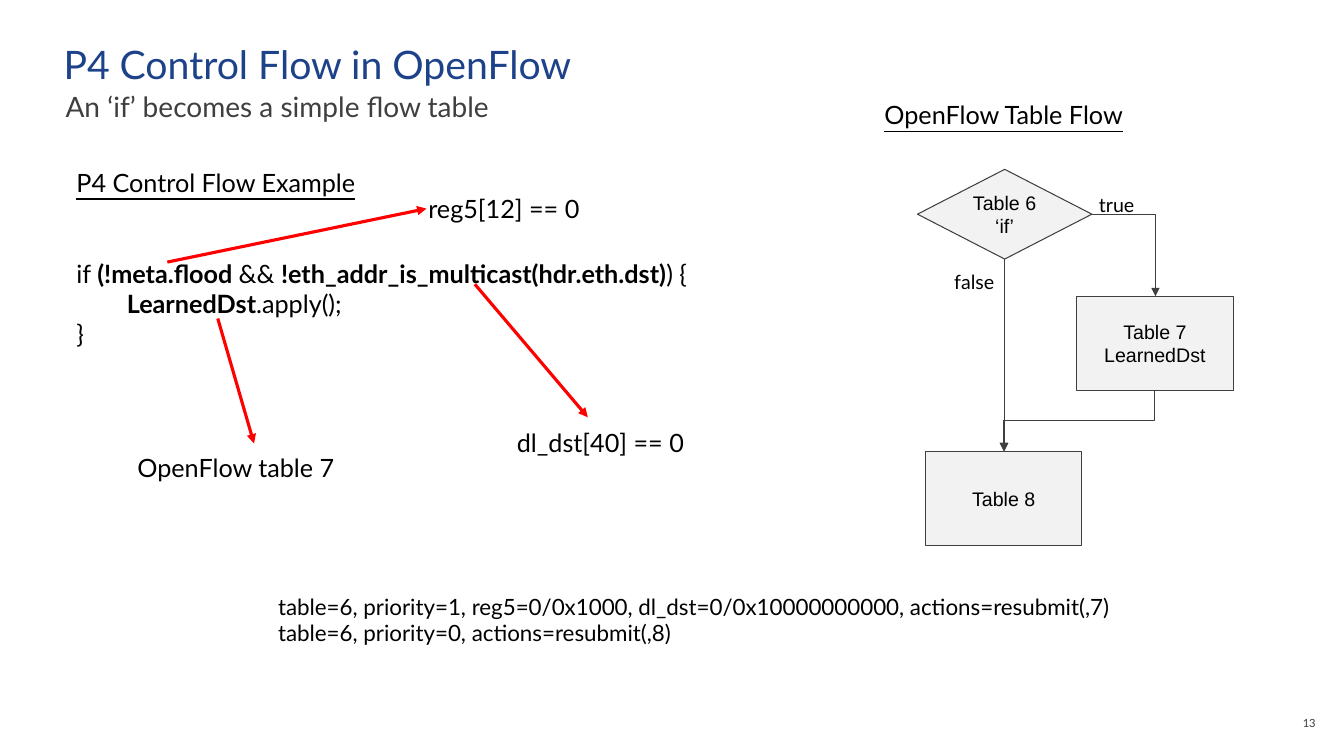
from lxml import etree
from pptx import Presentation
from pptx.dml.color import RGBColor
from pptx.enum.shapes import MSO_CONNECTOR as LINK, MSO_SHAPE as SHAPE
from pptx.enum.text import MSO_ANCHOR as ANCHOR, PP_ALIGN as ALIGN
from pptx.oxml.ns import qn
from pptx.util import Pt

PX = 9144  # EMU per px, 100 px to the inch
COLORS = {
    "title": "1D428A",
    "gray": "3F3F3F",
    "text": "000000",
    "arrow": "FF0000",
    "node": "F2F2F2",
}


def px(*lengths):
    return [length * PX for length in lengths]


def color(name):
    return RGBColor.from_string(COLORS[name])


def set_frame(frame, inset, anchor):
    frame.word_wrap = True
    frame.vertical_anchor = anchor
    frame.margin_left = frame.margin_right = inset * PX
    frame.margin_top = frame.margin_bottom = inset * PX


def set_font(paragraph, size, fill="text", face="Lato", underline=None):
    font = paragraph.font
    font.size = Pt(size)
    font.name = face
    font.color.rgb = color(fill)
    font.underline = underline


def write(frame, lines, size, align=ALIGN.LEFT, **font):
    for number, line in enumerate(lines):
        paragraph = frame.paragraphs[0] if number == 0 else frame.add_paragraph()
        paragraph.text = line
        paragraph.alignment = align
        set_font(paragraph, size, **font)


def add_text(slide, box, lines, size, align=ALIGN.LEFT, inset=10,
             anchor=ANCHOR.TOP, **font):
    frame = slide.shapes.add_textbox(*px(*box)).text_frame
    set_frame(frame, inset, anchor)
    write(frame, lines, size, align, **font)
    return frame


def add_title(slide, box, text):
    title = slide.shapes.title
    title.left, title.top, title.width, title.height = px(*box)
    set_frame(title.text_frame, 0, ANCHOR.BOTTOM)
    write(title.text_frame, [text], 28, fill="title")
    title.text_frame.paragraphs[0].line_spacing = 0.9


def add_code(slide, box, heading, code):
    """Write a heading and code lines given as (first-line indent, [(text, bold)])."""
    frame = add_text(slide, box, [heading], 18, underline=True)
    for number, (indent, pieces) in enumerate(code):
        paragraph = frame.add_paragraph()
        paragraph._p.get_or_add_pPr().set("indent", str(indent * PX))
        if number == 0:
            paragraph.space_before = Pt(43.2)
        set_font(paragraph, 18)
        for text, bold in pieces:
            run = paragraph.add_run()
            run.text = text
            run.font.bold = bold


def add_node(slide, kind, box, lines):
    node = slide.shapes.add_shape(kind, *px(*box))
    node.shadow.inherit = False
    node.fill.solid()
    node.fill.fore_color.rgb = color("node")
    node.line.color.rgb = color("gray")
    node.line.width = Pt(0.75)
    set_frame(node.text_frame, 10, ANCHOR.MIDDLE)
    write(node.text_frame, lines, 14, ALIGN.CENTER, face="Arial")


def add_arrow(slide, start, end, stroke="gray", width=0.75, kind=LINK.STRAIGHT):
    arrow = slide.shapes.add_connector(kind, *px(*start, *end))
    arrow.line.color.rgb = color(stroke)
    arrow.line.width = Pt(width)
    etree.SubElement(arrow.line._get_or_add_ln(), qn("a:tailEnd"), type="triangle")
    etree.SubElement(arrow._element.spPr, qn("a:effectLst"))
    return arrow


def add_corner_arrow(slide, start, end):
    """Go sideways first, then down, with a single bend."""
    arrow = add_arrow(slide, start, end, kind=LINK.ELBOW)
    arrow._element.spPr.find(qn("a:prstGeom")).set("prst", "bentConnector2")


def add_return_arrow(slide, start, end):
    """Go down, left and down again: an elbow turned by 90 degrees."""
    (x1, y1), (x2, y2) = start, end
    width, height = y2 - y1, x1 - x2
    left, top = (x1 + x2 - width) // 2, (y1 + y2 - height) // 2
    arrow = add_arrow(slide, (left, top), (left + width, top + height),
                      kind=LINK.ELBOW)
    arrow._element.spPr.find(qn("a:xfrm")).set("rot", str(90 * 60000))


def add_table_flow(slide):
    add_text(slide, (791, 89, 409, 50), ["OpenFlow Table Flow"], 18,
             ALIGN.CENTER, underline=True)
    add_node(slide, SHAPE.FLOWCHART_DECISION, (910, 168, 173, 89),
             ["Table 6", "‘if’"])
    add_node(slide, SHAPE.RECTANGLE, (1068, 294, 155, 93), ["Table 7", "LearnedDst"])
    add_node(slide, SHAPE.RECTANGLE, (918, 448, 155, 93), ["Table 8"])
    add_corner_arrow(slide, (1082, 213), (1146, 294))
    add_return_arrow(slide, (1146, 387), (996, 448))
    add_arrow(slide, (996, 257), (996, 448))
    add_text(slide, (1080, 181, 78, 44), ["true"], 14)
    add_text(slide, (918, 258, 78, 44), ["false"], 14, ALIGN.RIGHT)


def add_control_flow(slide):
    add_code(slide, (66, 156, 644, 202), "P4 Control Flow Example", [
        (0, [("if ", False), ("(!meta.flood ", True), ("&& ", False),
             ("!eth_addr_is_multicast(hdr.eth.dst)", True), (") {", False)]),
        (50, [("LearnedDst", True), (".apply();", False)]),
        (0, [("}", False)]),
    ])
    translations = [
        ("reg5[12] == 0", (415, 182, 217, 50), ALIGN.LEFT, (166, 260), (423, 207)),
        ("dl_dst[40] == 0", (487, 414, 217, 50), ALIGN.CENTER, (471, 282), (583, 414)),
        ("OpenFlow table 7", (82, 439, 304, 50), ALIGN.CENTER, (216, 316), (252, 440)),
    ]
    for text, box, align, start, end in translations:
        add_arrow(slide, start, end, "arrow", 2.25)
        add_text(slide, box, [text], 18, align)


def main():
    deck = Presentation()
    deck.slide_width, deck.slide_height = px(1333, 750)
    slide = deck.slides.add_slide(deck.slide_layouts[5])
    add_title(slide, (63, 45, 1203, 42), "P4 Control Flow in OpenFlow")
    add_text(slide, (65, 89, 1199, 27), ["An ‘if’ becomes a simple flow table"], 20,
             inset=0, fill="gray")
    add_control_flow(slide)
    add_table_flow(slide)
    add_text(slide, (266, 578, 946, 74), [
        "table=6, priority=1, reg5=0/0x1000, dl_dst=0/0x10000000000, actions=resubmit(,7)",
        "table=6, priority=0, actions=resubmit(,8)",
    ], 16)
    add_text(slide, (1257, 707, 48, 20), ["13"], 8, ALIGN.RIGHT, inset=0,
             anchor=ANCHOR.MIDDLE, fill="gray")
    deck.save("out.pptx")


if __name__ == "__main__":
    main()
